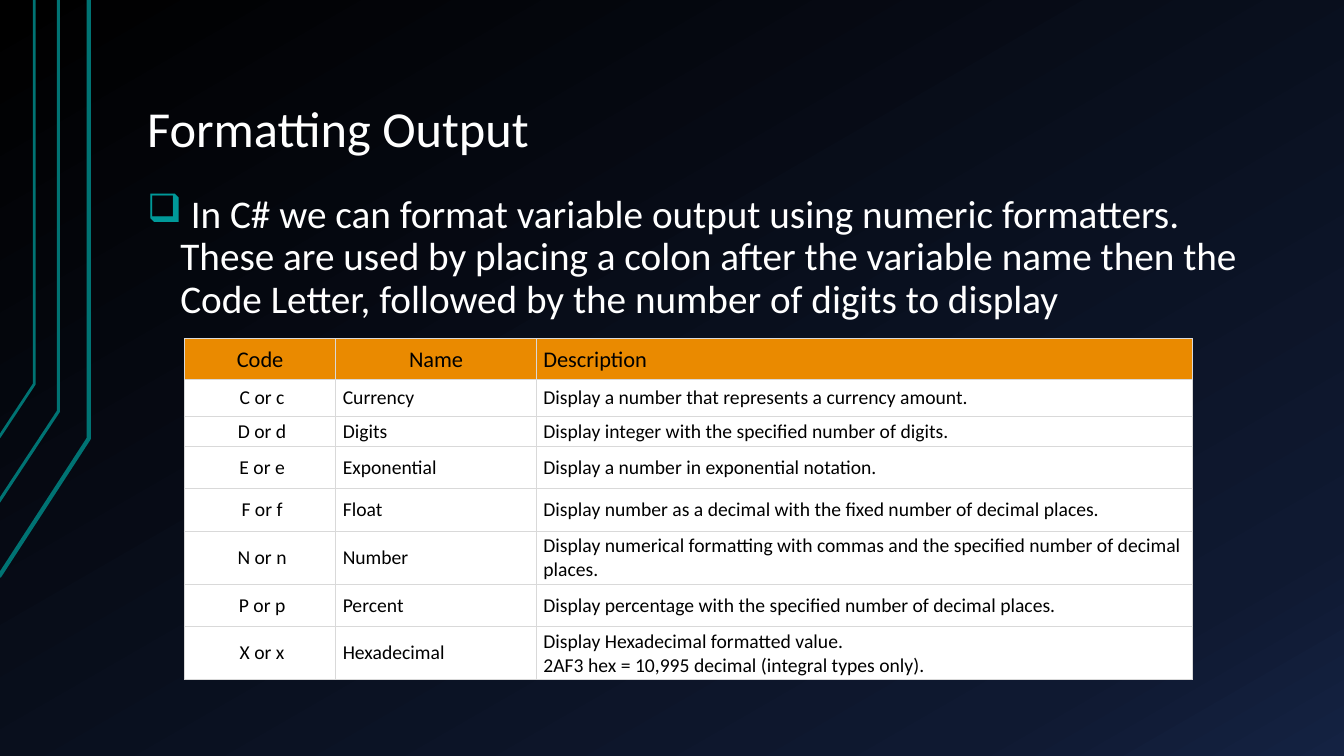
import copy

import pptx
import pptx.dml.color
import pptx.enum.text
import pptx.oxml
import pptx.oxml.ns
import pptx.util

INK = {
    "white": "FFFFFF", "black": "000000", "teal": "007373", "mark": "009999",
    "head": "EA8A00", "rule": "D9D9D9", "night": "0F1931", "dusk": "142242",
}
ALIGN = pptx.enum.text.PP_ALIGN
ANCHOR = pptx.enum.text.MSO_ANCHOR
SCALE = 9144
NS = pptx.oxml.ns.nsdecls("a")

TRACES = [
    (3, [(-1, 572), (88, 435), (88, 0)]),
    (2.25, [(-2, 499), (58, 408), (58, 0)]),
    (2, [(-1, 434), (34, 381), (34, 0)]),
]
TITLE = "Formatting Output"
BODY = (" In C# we can format variable output using numeric formatters. "
        "These are used by placing a colon after the variable name then the "
        "Code Letter, followed by the number of digits to display")
CODES = [
    ("Code", "Name", "Description"),
    ("C or c", "Currency", "Display a number that represents a currency amount."),
    ("D or d", "Digits", "Display integer with the specified number of digits."),
    ("E or e", "Exponential", "Display a number in exponential notation."),
    ("F or f", "Float",
     "Display number as a decimal with the fixed number of decimal places."),
    ("N or n", "Number",
     "Display numerical formatting with commas and the specified number of decimal places."),
    ("P or p", "Percent", "Display percentage with the specified number of decimal places."),
    ("X or x", "Hexadecimal",
     "Display Hexadecimal formatted value.\v2AF3 hex = 10,995 decimal (integral types only)."),
]
WIDTHS = [150, 199, 651]
HEIGHTS = [29, 37, 23] + [42] * 5


def px(num):
    return pptx.util.Emu(num * SCALE)


def rgb(name):
    return pptx.dml.color.RGBColor.from_string(INK[name])


def apply(item, **vals):
    for key, val in vals.items():
        setattr(item, key, val)


class Deck:
    """Hold the style and the current slide, and draw each kind of element."""

    def __init__(self, wide, high, font):
        self.show = pptx.Presentation()
        apply(self.show, slide_width=px(wide), slide_height=px(high))
        self.slide = self.show.slides.add_slide(self.show.slide_layouts[6])
        self.font = font

    def back(self, stops, angle):
        fill = self.slide.background.fill
        fill.gradient()
        fill.gradient_angle = angle
        group = self.slide.element.xpath(".//a:gsLst")[0]
        while len(group) < len(stops):
            group.append(copy.deepcopy(group[0]))
        for stop, (place, name) in zip(fill.gradient_stops, stops):
            stop.position = place
            stop.color.rgb = rgb(name)

    def trace(self, points, width, name):
        pen = self.slide.shapes.build_freeform(*points[0], scale=SCALE)
        pen.add_line_segments(points[1:], close=False)
        shape = pen.convert_to_shape()
        shape.shadow.inherit = False
        shape.fill.background()
        shape.line.width = pptx.util.Pt(width)
        shape.line.color.rgb = rgb(name)

    def style(self, para, text, size, name, **vals):
        para.text = text
        apply(para, **vals)
        for run in para.runs:
            apply(run.font, name=self.font, size=pptx.util.Pt(size))
            run.font.color.rgb = rgb(name)

    def text(self, box, text, size, anchor, **vals):
        frame = self.slide.shapes.add_textbox(*map(px, box)).text_frame
        apply(frame, word_wrap=True, vertical_anchor=anchor,
              margin_left=px(13), margin_right=px(13),
              margin_top=px(7), margin_bottom=px(7))
        para = frame.paragraphs[0]
        self.style(para, text, size, "white", line_spacing=0.9, **vals)
        return para

    def bullet(self, para, mark, name, indent):
        props = para._p.get_or_add_pPr()
        props.set("marL", str(px(indent)))
        props.set("indent", str(px(-indent)))
        for part in (f'<a:buClr {NS}><a:srgbClr val="{INK[name]}"/></a:buClr>',
                     f'<a:buChar {NS} char="{mark}"/>'):
            props.append(pptx.oxml.parse_xml(part))

    def border(self, cell):
        props = cell._tc.get_or_add_tcPr()
        for spot, side in enumerate("LRTB"):
            props.insert(spot, pptx.oxml.parse_xml(
                f'<a:ln{side} {NS} w="12700"><a:solidFill>'
                f'<a:srgbClr val="{INK["rule"]}"/></a:solidFill></a:ln{side}>'))

    def table(self, left, top, rows, widths, heights):
        table = self.slide.shapes.add_table(
            len(rows), len(widths), px(left), px(top),
            px(sum(widths)), px(sum(heights))).table
        apply(table, first_row=False, horz_banding=False)
        for col, width in zip(table.columns, widths):
            col.width = px(width)
        for i, (row, high) in enumerate(zip(rows, heights)):
            table.rows[i].height = px(high)
            pad = px(3 if i else 7)
            for j, text in enumerate(row):
                cell = table.cell(i, j)
                apply(cell, vertical_anchor=ANCHOR.MIDDLE, margin_left=px(7),
                      margin_right=pad, margin_top=pad, margin_bottom=pad)
                cell.fill.solid()
                cell.fill.fore_color.rgb = rgb("white" if i else "head")
                mid = j == 0 or (i == 0 and j == 1)
                self.style(cell.text_frame.paragraphs[0], text, 14 if i else 16, "black",
                           alignment=ALIGN.CENTER if mid else ALIGN.LEFT)
                self.border(cell)


def main():
    deck = Deck(1333, 750, "Calibri")
    deck.back([(0, "black"), (0.85, "night"), (1, "dusk")], 300)
    for width, points in TRACES:
        deck.trace(points, width, "teal")
    deck.text((133, 30, 1133, 134), TITLE, 36, ANCHOR.BOTTOM)
    para = deck.text((133, 186, 1133, 488), BODY, 28, ANCHOR.TOP,
                     space_before=pptx.util.Pt(16))
    deck.bullet(para, "❑", "mark", 33)
    deck.table(183, 336, CODES, WIDTHS, HEIGHTS)
    deck.show.save("out.pptx")


if __name__ == "__main__":
    main()
